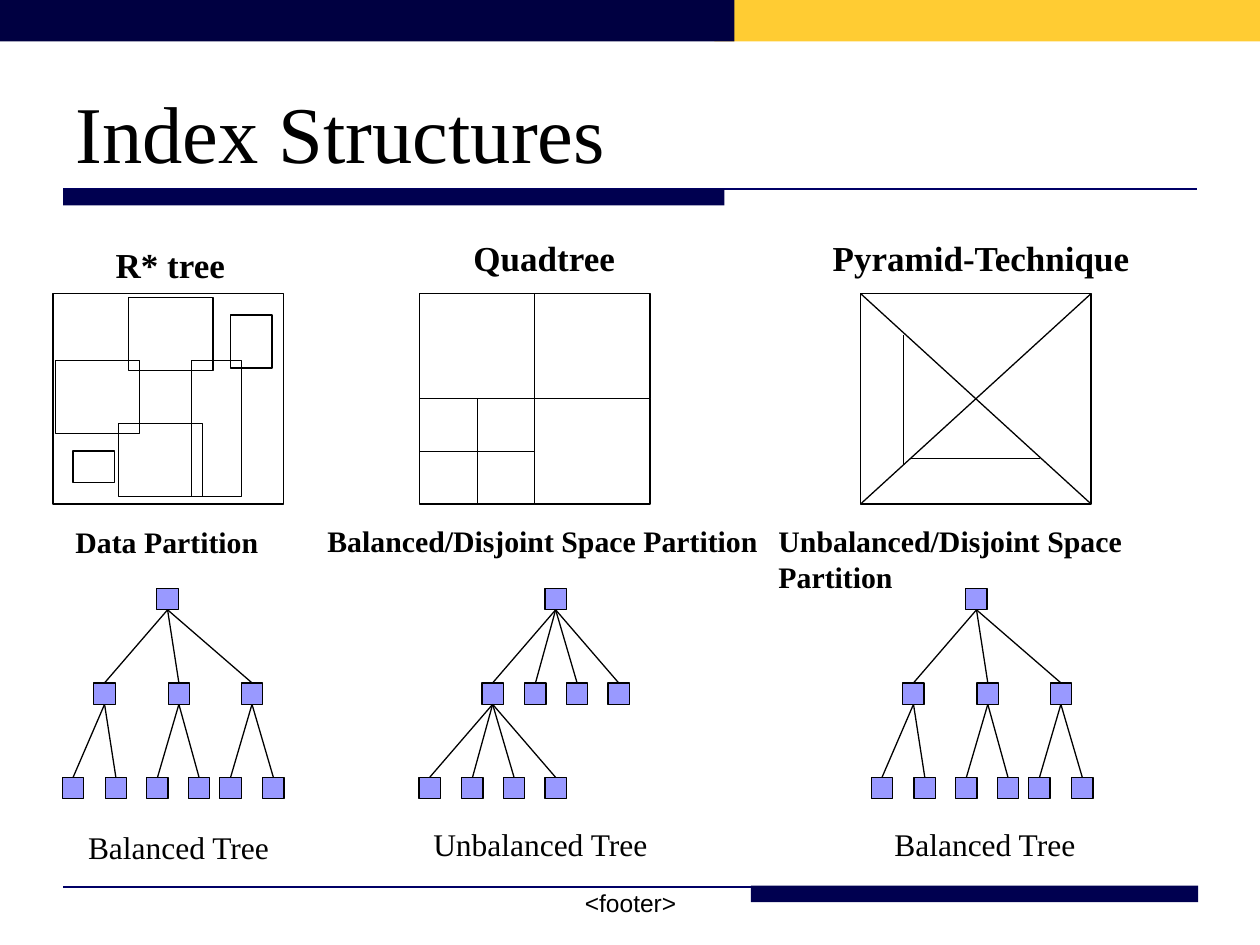
from lxml import etree
from pptx import Presentation
from pptx.dml.color import RGBColor
from pptx.enum.shapes import MSO_CONNECTOR, MSO_SHAPE
from pptx.enum.text import MSO_ANCHOR, MSO_AUTO_SIZE, PP_ALIGN
from pptx.oxml.ns import qn
from pptx.util import Inches, Pt

RECT = MSO_SHAPE.RECTANGLE
LINE = MSO_CONNECTOR.STRAIGHT
LEFT, CENTER = PP_ALIGN.LEFT, PP_ALIGN.CENTER
MIDDLE = MSO_ANCHOR.MIDDLE
FIT, FIXED = MSO_AUTO_SIZE.SHAPE_TO_FIT_TEXT, MSO_AUTO_SIZE.NONE

BLACK = RGBColor(0x00, 0x00, 0x00)
NAVY = RGBColor(0x00, 0x00, 0x41)
BAR = RGBColor(0x00, 0x00, 0x50)
RULE = RGBColor(0x00, 0x00, 0x66)
GOLD = RGBColor(0xFF, 0xCC, 0x33)
LILAC = RGBColor(0x99, 0x99, 0xFF)

SERIF, SANS = "Times New Roman", "Arial"
NODE = 0.17                  # side of a tree node
LEVELS = (4.67, 5.42, 6.17)  # top of each tree level
TOP, WIDE, HIGH = 2.33, 1.83, 1.67  # frame of each partition

# Trees as (centre x, children), x from the left edge of the tree
EVEN = (0.83, [(0.33, [(0.08, []), (0.42, [])]),
               (0.92, [(0.75, []), (1.08, [])]),
               (1.5, [(1.33, []), (1.67, [])])])
UNEVEN = (1.08, [(0.58, [(0.08, []), (0.42, []), (0.75, []), (1.08, [])]),
                 (0.92, []), (1.25, []), (1.58, [])])

# Data rectangles of the R* tree
BOXES = [(0.44, 2.86, 0.67, 0.58), (0.94, 3.36, 0.67, 0.58),
         (1.52, 2.86, 0.4, 1.08), (1.02, 2.36, 0.67, 0.58),
         (0.42, TOP, WIDE, HIGH),
         (1.83, 2.5, 0.33, 0.42), (0.58, 3.58, 0.33, 0.25)]


def add_rect(shapes, x, y, w, h, fill=None, line=None):
    rect = shapes.add_shape(RECT, Inches(x), Inches(y), Inches(w), Inches(h))
    rect.shadow.inherit = False
    if fill is None:
        rect.fill.background()
    else:
        rect.fill.solid()
        rect.fill.fore_color.rgb = fill
    if line is None:
        rect.line.fill.background()
    else:
        rect.line.color.rgb = line
        rect.line.width = Pt(0.75)


def add_line(shapes, x1, y1, x2, y2, color=BLACK):
    line = shapes.add_connector(LINE, Inches(x1), Inches(y1),
                                Inches(x2), Inches(y2))
    line.line.color.rgb = color
    line.line.width = Pt(0.75)
    etree.SubElement(line._element.spPr, qn("a:effectLst"))


def set_text(frame, text, size, face=SERIF, bold=False, align=LEFT):
    frame.text = text
    para = frame.paragraphs[0]
    para.alignment = align
    para.font.size = Pt(size)
    para.font.name = face
    para.font.bold = bold
    para.font.color.rgb = BLACK


def add_label(shapes, x, y, w, h, text, size, bold=False):
    box = shapes.add_textbox(Inches(x), Inches(y), Inches(w), Inches(h))
    box.text_frame.word_wrap = False
    box.text_frame.auto_size = FIT
    set_text(box.text_frame, text, size, bold=bold)


def add_node(shapes, left, node, depth=0):
    mid, kids = left + node[0], node[1]
    top = LEVELS[depth]
    add_rect(shapes, mid - NODE / 2, top, NODE, NODE, LILAC, BLACK)
    for kid in kids:
        add_line(shapes, mid, top + NODE, left + kid[0], LEVELS[depth + 1])
        add_node(shapes, left, kid, depth + 1)


def add_tree(slide, left, tree, *label):
    shapes = slide.shapes.add_group_shape().shapes
    add_node(shapes, left, tree)
    add_label(shapes, *label, 18)


def add_part(slide, head, note):
    shapes = slide.shapes.add_group_shape().shapes
    add_label(shapes, *head, 20, True)
    add_label(shapes, *note, 17, True)
    return shapes


def add_frame(slide):
    shapes = slide.shapes
    # Footer
    box = shapes.add_textbox(Inches(3.42), Inches(7), Inches(3.17), Inches(0.27))
    box.text_frame.word_wrap = True
    set_text(box.text_frame, "<footer>", 14, SANS, align=CENTER)
    add_line(shapes, 0.5, 7.04, 9.5, 7.04, RULE)
    add_rect(shapes, 5.96, 7.03, 3.55, 0.13, BAR)
    # Top band and title rule
    add_rect(shapes, 5.67, 0, 4.33, 0.33, GOLD)
    add_rect(shapes, 0, 0, 5.83, 0.33, NAVY)
    add_line(shapes, 0.5, 1.5, 9.5, 1.5, RULE)
    add_rect(shapes, 0.5, 1.5, 5.25, 0.13, BAR)


def add_title(slide):
    title = slide.shapes.title
    title.left, title.top = Inches(0.5), Inches(0.5)
    title.width, title.height = Inches(9), Inches(1.08)
    title.text_frame.vertical_anchor = MIDDLE
    title.text_frame.auto_size = FIXED
    set_text(title.text_frame, "Index Structures", 46)


def add_rstar(slide):
    shapes = add_part(slide, (0.82, 1.88, 1.07, 0.44, "R* tree"),
                      (0.5, 4.11, 1.65, 0.39, "Data Partition"))
    for box in BOXES:
        add_rect(shapes, *box, line=BLACK)


def add_quad(slide):
    shapes = add_part(
        slide, (3.66, 1.83, 1.33, 0.44, "Quadtree"),
        (2.5, 4.1, 3.62, 0.39, "Balanced/Disjoint Space Partition"))
    left, w, h = 3.33, WIDE / 2, HIGH / 2
    for row in range(2):
        for col in range(2):
            add_rect(shapes, left + col * w, TOP + row * h, w, h, line=BLACK)
    # Lower left quarter, split again
    add_line(shapes, left + w / 2, TOP + h, left + w / 2, TOP + HIGH)
    add_line(shapes, left, TOP + 1.5 * h, left + w, TOP + 1.5 * h)


def add_pyramid(slide):
    shapes = add_part(
        slide, (6.51, 1.83, 2.58, 0.44, "Pyramid-Technique"),
        (6.08, 4.1, 3.89, 0.39, "Unbalanced/Disjoint Space Partition"))
    left, right, base = 6.83, 6.83 + WIDE, TOP + HIGH
    add_rect(shapes, left, TOP, WIDE, HIGH, line=BLACK)
    add_line(shapes, left, TOP, right, base)
    add_line(shapes, right, TOP, left, base)
    add_line(shapes, 7.17, 2.66, 7.17, 3.68)
    add_line(shapes, 8.25, 3.64, 7.23, 3.64)


def main():
    deck = Presentation()
    deck.slide_width, deck.slide_height = Inches(10), Inches(7.5)
    slide = deck.slides.add_slide(deck.slide_layouts[5])
    add_frame(slide)
    add_title(slide)
    # Partitions
    add_rstar(slide)
    add_quad(slide)
    add_pyramid(slide)
    # Trees
    add_tree(slide, 0.5, EVEN, 0.6, 6.52, 1.65, 0.4, "Balanced Tree")
    add_tree(slide, 3.33, UNEVEN, 3.34, 6.5, 1.91, 0.4, "Unbalanced Tree")
    add_tree(slide, 6.92, EVEN, 7, 6.5, 1.65, 0.4, "Balanced Tree")
    deck.save("out.pptx")


if __name__ == "__main__":
    main()
